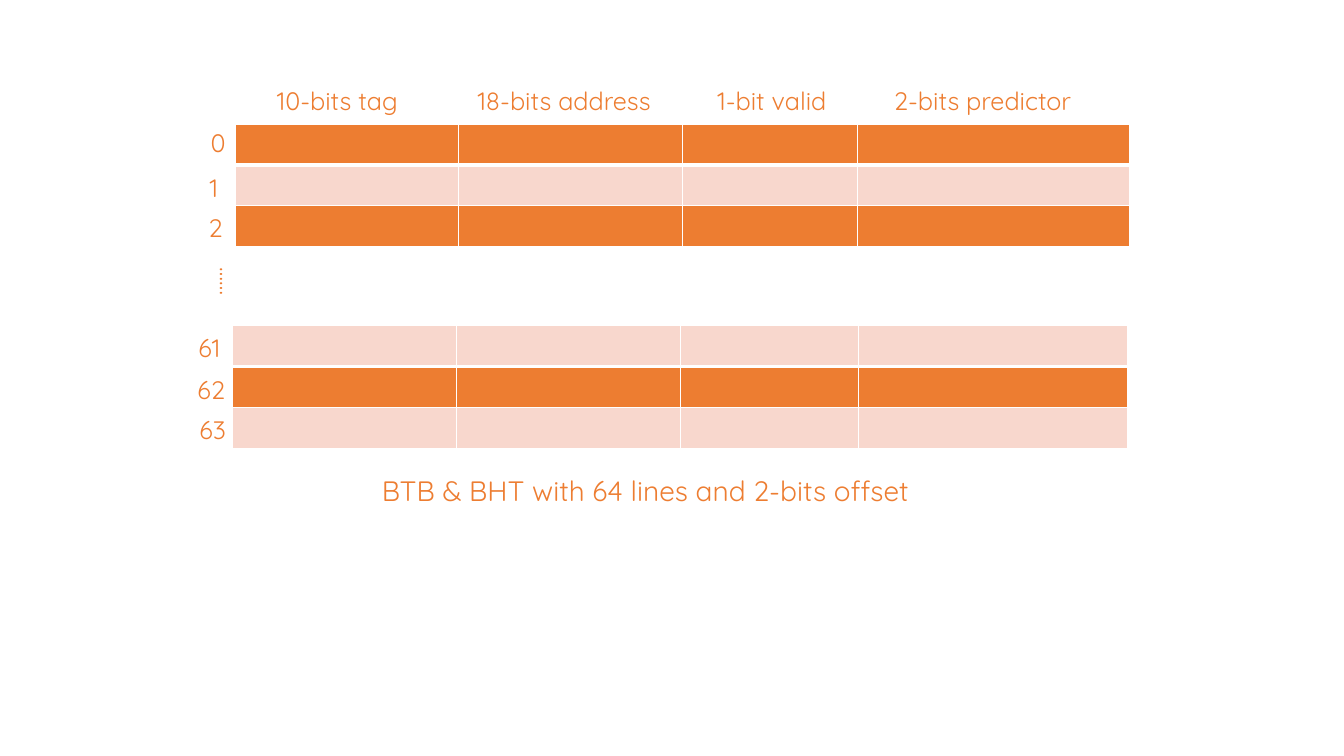
from lxml import etree
from pptx import Presentation
from pptx.dml.color import RGBColor
from pptx.oxml import ns
from pptx.util import Pt

ORANGE = RGBColor(0xED, 0x7D, 0x31)
PEACH = RGBColor(0xF8, 0xD7, 0xCD)
WHITE = RGBColor(0xFF, 0xFF, 0xFF)
FONT = "Quicksand"
LABEL_SIZE, CAPTION_SIZE = 18, 20

# Content: text, left, width
HEADINGS = [
    ("10-bits tag", 190.8, 133.9),
    ("18-bits address", 334.1, 155.5),
    ("1-bit valid", 505.4, 110.2),
    ("2-bits predictor", 631.4, 159.1),
]
HEADING_TOP = 57.6
# Content: text, left, top, width
LINE_NUMBERS = [
    ("0", 143.3, 87.1, 39.6),
    ("1", 142.6, 119.5, 39.6),
    ("2", 141.8, 148.3, 39.6),
    ("61", 134.6, 234, 52.6),
    ("62", 133.9, 263.5, 39.6),
    ("63", 135.4, 292.3, 39.6),
]
CAPTION = "BTB & BHT with 64 lines and 2-bits offset"
# Content: left, top, column widths, row fills
TABLES = [
    (167.8, 88.6, (159.8, 159.8, 125.3, 194.4), (ORANGE, PEACH, ORANGE)),
    (166.3, 232.6, (159.8, 159.8, 127.4, 192.2), (PEACH, ORANGE, PEACH)),
]
ROW_HEIGHT = 29.2
LABEL_HEIGHT = 28.8
THIN, THICK = 1, 3


def add_label(slide, content, left, top, width, height=LABEL_HEIGHT, size=LABEL_SIZE):
    box = slide.shapes.add_textbox(Pt(left), Pt(top), Pt(width), Pt(height))
    frame = box.text_frame
    frame.word_wrap = True
    frame.text = content
    font = frame.paragraphs[0].runs[0].font
    font.name, font.size, font.color.rgb = FONT, Pt(size), ORANGE
    return box


def set_borders(cell, widths):
    properties = cell._tc.get_or_add_tcPr()
    for index, (side, width) in enumerate(widths.items()):
        line = etree.Element(ns.qn(f"a:ln{side}"), w=str(int(Pt(width))))
        fill = etree.SubElement(line, ns.qn("a:solidFill"))
        etree.SubElement(fill, ns.qn("a:srgbClr"), val=str(WHITE))
        properties.insert(index, line)


def add_lines(slide, left, top, column_widths, fills):
    frame = slide.shapes.add_table(
        len(fills), len(column_widths), Pt(left), Pt(top),
        Pt(sum(column_widths)), Pt(ROW_HEIGHT * len(fills)))
    table = frame.table
    for column, width in zip(table.columns, column_widths):
        column.width = Pt(width)
    for index, (row, color) in enumerate(zip(table.rows, fills)):
        row.height = Pt(ROW_HEIGHT)
        # The first row is set apart by a thicker rule
        widths = {"L": THIN, "R": THIN,
                  "T": THICK if index == 1 else THIN,
                  "B": THICK if index == 0 else THIN}
        for cell in row.cells:
            cell.margin_top = cell.margin_bottom = Pt(2)
            cell.fill.solid()
            cell.fill.fore_color.rgb = color
            set_borders(cell, widths)


presentation = Presentation()
presentation.slide_width, presentation.slide_height = Pt(960), Pt(540)
slide = presentation.slides.add_slide(presentation.slide_layouts[6])

# Column headings
for heading, left, width in HEADINGS:
    add_label(slide, heading, left, HEADING_TOP, width)

# First and last lines of the buffer
for left, top, column_widths, fills in TABLES:
    add_lines(slide, left, top, column_widths, fills)

# Line numbers, with vertical dots for the lines left out
for number, left, top, width in LINE_NUMBERS:
    add_label(slide, number, left, top, width)
dots = add_label(slide, "……", 142.6, 184.3, 36, 72)
dots.text_frame._txBody.bodyPr.set("vert", "eaVert")

# Caption
add_label(slide, CAPTION, 265.7, 334.8, 462.2, 31.7, CAPTION_SIZE)

presentation.save("out.pptx")
